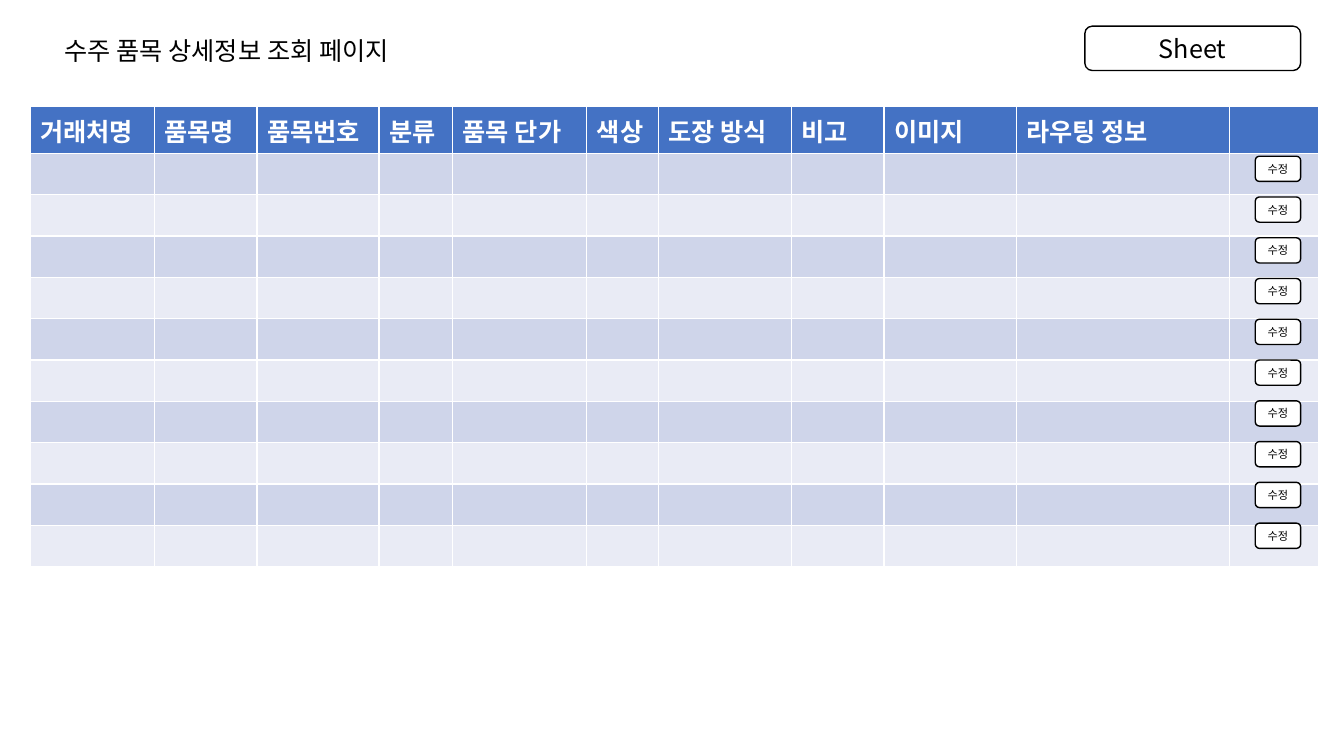
import pptx
import pptx.dml.color
import pptx.enum.shapes
import pptx.enum.text
import pptx.oxml
import pptx.oxml.ns
import pptx.util

Inches = pptx.util.Inches
Pt = pptx.util.Pt
ALIGN = pptx.enum.text.PP_ALIGN
ANCHOR = pptx.enum.text.MSO_ANCHOR

COLUMNS = [
    ("거래처명", 1.23), ("품목명", 1.02), ("품목번호", 1.21), ("분류", 0.73),
    ("품목 단가", 1.33), ("색상", 0.71), ("도장 방식", 1.32), ("비고", 0.92),
    ("이미지", 1.31), ("라우팅 정보", 2.12), ("", 0.88),
]
ITEM_ROWS = 10
TABLE_HEIGHT = 4.46
FIRST_BUTTON_TOP, LAST_BUTTON_TOP = 1.55, 5.19


def color(value):
    return pptx.dml.color.RGBColor.from_string(value)


class Page:
    font = "Noto Sans CJK KR"
    ink = "000000"
    paper = "FFFFFF"
    header = "4472C4"
    bands = ("CFD5EA", "E9EBF5")

    def __init__(self, prs):
        self.slide = prs.slides.add_slide(prs.slide_layouts[5])

    def add_text(self, tf, text, size, fill, align=ALIGN.LEFT, bold=False):
        p = tf.paragraphs[0]
        p.alignment = align
        r = p.add_run()
        r.text = text
        r.font.size = Pt(size)
        r.font.bold = bold
        r.font.name = self.font
        r.font.color.rgb = color(fill)
        ea = pptx.oxml.parse_xml(
            f'<a:ea {pptx.oxml.ns.nsdecls("a")} typeface="{self.font}"/>')
        r.font._element.find(pptx.oxml.ns.qn("a:latin")).addnext(ea)

    def title(self, text, left, top, width, height):
        sp = self.slide.shapes.title
        sp.left, sp.top = Inches(left), Inches(top)
        sp.width, sp.height = Inches(width), Inches(height)
        tf = sp.text_frame
        tf.word_wrap = True
        tf.auto_size = pptx.enum.text.MSO_AUTO_SIZE.NONE
        tf.vertical_anchor = ANCHOR.TOP
        self.add_text(tf, text, 18, self.ink)

    def table(self, left, top, columns, rows, header_height, row_height, height):
        width = sum(w for _, w in columns)
        frame = self.slide.shapes.add_table(
            rows + 1, len(columns), Inches(left), Inches(top),
            Inches(width), Inches(height))
        table = frame.table
        for c, (label, w) in enumerate(columns):
            table.columns[c].width = Inches(w)
            if label:
                self.add_text(table.cell(0, c).text_frame, label, 18,
                              self.paper, bold=True)
        for i, row in enumerate(table.rows):
            row.height = Inches(row_height if i else header_height)
            for cell in row.cells:
                cell.fill.solid()
                cell.fill.fore_color.rgb = color(
                    self.bands[(i - 1) % 2] if i else self.header)
        frame.height = Inches(height)

    def button(self, text, left, top, width, height, size):
        sp = self.slide.shapes.add_shape(
            pptx.enum.shapes.MSO_SHAPE.ROUNDED_RECTANGLE,
            Inches(left), Inches(top), Inches(width), Inches(height))
        sp.shadow.inherit = False
        sp.fill.solid()
        sp.fill.fore_color.rgb = color(self.paper)
        sp.line.color.rgb = color(self.ink)
        sp.line.width = Pt(1)
        tf = sp.text_frame
        tf.word_wrap = True
        tf.vertical_anchor = ANCHOR.MIDDLE
        self.add_text(tf, text, size, self.ink, ALIGN.CENTER)


def main():
    prs = pptx.Presentation()
    prs.slide_width = Inches(13.33)
    prs.slide_height = Inches(7.5)
    page = Page(prs)
    page.title("수주 품목 상세정보 조회 페이지", 0.54, 0.3, 3.87, 0.4)
    page.table(0.3, 1.06, COLUMNS, ITEM_ROWS, 0.21, 0.41, TABLE_HEIGHT)
    pitch = (LAST_BUTTON_TOP - FIRST_BUTTON_TOP) / (ITEM_ROWS - 1)
    for i in range(ITEM_ROWS):
        page.button("수정", 12.45, FIRST_BUTTON_TOP + i * pitch, 0.45, 0.25, 8)
    page.button("Sheet", 10.76, 0.26, 2.14, 0.44, 18)
    prs.save("out.pptx")


if __name__ == "__main__":
    main()
